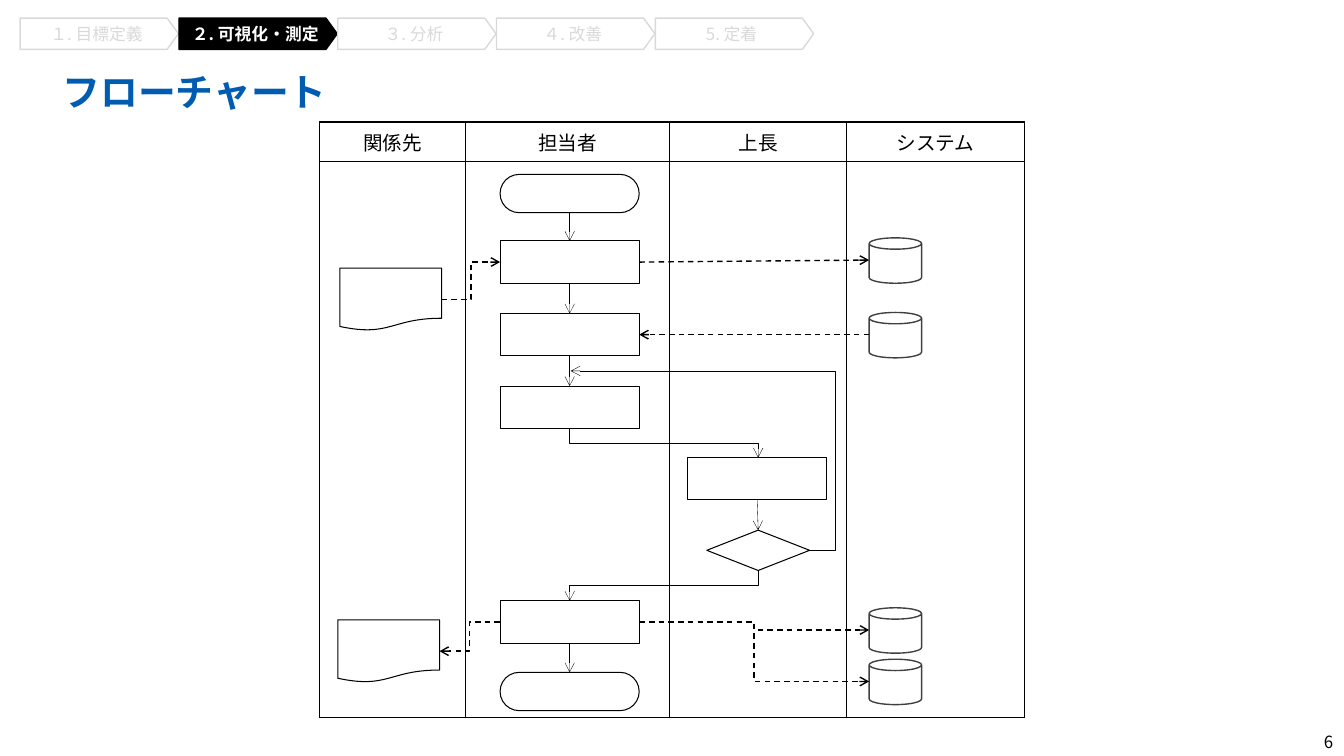
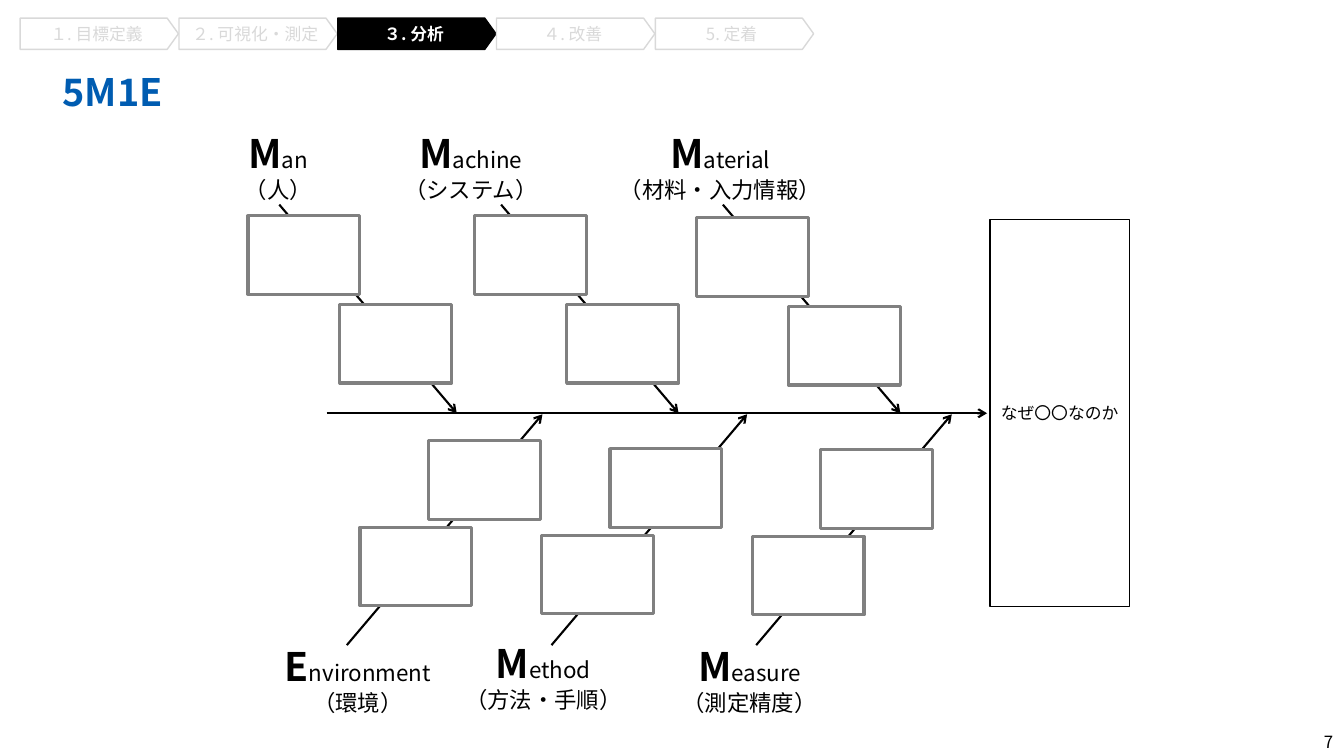
import pptx
import pptx.dml.color
import pptx.enum.dml
import pptx.enum.shapes
import pptx.enum.text
import pptx.oxml
import pptx.oxml.ns
import pptx.util
from dataclasses import dataclass

Inches = pptx.util.Inches
Preset = pptx.enum.shapes.MSO_SHAPE
Connector = pptx.enum.shapes.MSO_CONNECTOR
Align = pptx.enum.text.PP_ALIGN
MIDDLE = pptx.enum.text.MSO_ANCHOR.MIDDLE
qn = pptx.oxml.ns.qn


@dataclass(frozen=True)
class Theme:
    font: str = "Noto Sans CJK JP"
    ink: str = "000000"
    paper: str = "FFFFFF"
    title: str = "005CB1"
    muted: str = "D9D9D9"
    storage: str = "404040"
    cause: str = "808080"
    title_size: float = 27
    initial_size: float = 28
    label_size: float = 16
    header_size: float = 14
    small_size: float = 12
    hairline: float = 0.25
    thin: float = 0.75
    normal: float = 1
    bone: float = 1.5
    thick: float = 2.25


theme = Theme()
NO_MARGINS = dict.fromkeys(
    ("margin_left", "margin_top", "margin_right", "margin_bottom"), 0)


def dress(part, paragraphs=(), fill=None, line=None, width=theme.normal,
          align=Align.CENTER, spacing=None, **frame_format):
    """Format a shape, text box or table cell; a run is (text, size, colour, bold)."""
    is_cell = not hasattr(part, "shape_type")
    if fill:
        part.fill.solid()
        part.fill.fore_color.rgb = pptx.dml.color.RGBColor.from_string(fill)
    if not is_cell:
        part.shadow.inherit = False
        if line:
            part.line.color.rgb = pptx.dml.color.RGBColor.from_string(line)
            part.line.width = pptx.util.Pt(width)
        else:
            part.line.fill.background()
    holder = part if is_cell else part.text_frame
    for name, value in {"vertical_anchor": MIDDLE, "word_wrap": True, **frame_format}.items():
        if not (is_cell and name == "word_wrap"):
            setattr(holder, name, value)
    frame = part.text_frame
    for index, runs in enumerate(paragraphs):
        paragraph = frame.add_paragraph() if index else frame.paragraphs[0]
        paragraph.alignment = align
        if spacing:
            paragraph.line_spacing = spacing
        for text, size, color, bold in runs:
            run = paragraph.add_run()
            run.text = text
            font_format = {"name": theme.font, "size": pptx.util.Pt(size), "bold": bold}
            for name, value in font_format.items():
                setattr(run.font, name, value)
            run.font.color.rgb = pptx.dml.color.RGBColor.from_string(color)
            east_asian = pptx.oxml.parse_xml(
                f'<a:ea {pptx.oxml.ns.nsdecls("a")} typeface="{theme.font}"/>')
            run.font._element.find(qn("a:latin")).addnext(east_asian)


def connect(slide, start, end, width, route="straight", dashed=False, bend=None):
    """Draw an arrow; route is straight, across (level first) or down (upright first)."""
    (x1, y1), (x2, y2) = start, end
    quarter = 0
    if route == "down":
        # The box is stored unturned, then rotated a quarter about its centre.
        quarter = 1 if x2 < x1 else -1
        cx, cy = (x1 + x2) / 2, (y1 + y2) / 2
        dx, dy = quarter * (y2 - y1) / 2, quarter * (x1 - x2) / 2
        x1, y1, x2, y2 = cx - dx, cy - dy, cx + dx, cy + dy
    kind = Connector.STRAIGHT if route == "straight" else Connector.ELBOW
    arrow = slide.shapes.add_connector(kind, *map(Inches, (x1, y1, x2, y2)))
    arrow.line.color.rgb = pptx.dml.color.RGBColor.from_string(theme.ink)
    arrow.line.width = pptx.util.Pt(width)
    if dashed:
        arrow.line.dash_style = pptx.enum.dml.MSO_LINE.DASH
    properties = arrow._element.spPr
    if quarter:
        properties.find(qn("a:xfrm")).set("rot", str(quarter * 90 * 60000 % 21600000))
    if bend is not None:
        guides = properties.find(qn("a:prstGeom")).find(qn("a:avLst"))
        guide = guides.makeelement(qn("a:gd"), {"name": "adj1", "fmla": f"val {bend}"})
        guides.append(guide)
    outline = properties.find(qn("a:ln"))
    outline.append(outline.makeelement(qn("a:tailEnd"), {"type": "arrow"}))
    properties.append(properties.makeelement(qn("a:effectLst"), {}))
    return arrow


deck = pptx.Presentation()
deck.slide_width, deck.slide_height = Inches(13.33), Inches(7.5)

# Shared frame: progress steps, title and page number
steps = ["１. 目標定義", "２. 可視化・測定", "３. 分析", "４. 改善", "5. 定着"]
step_pitch = Inches(6.3) / 4
slides = []
for page, title, current in [(6, "フローチャート", 1), (7, "5M1E", 2)]:
    slide = deck.slides.add_slide(deck.slide_layouts[6])
    slides.append(slide)
    for index, step in enumerate(steps):
        active = index == current
        chevron = slide.shapes.add_shape(
            Preset.PENTAGON, int(Inches(0.2) + index * step_pitch), Inches(0.18),
            Inches(1.57), Inches(0.31))
        chevron.adjustments[0] = 0.36
        color = theme.paper if active else theme.muted
        dress(chevron, [[(step, theme.small_size, color, active)]],
              fill=theme.ink if active else theme.paper,
              line=theme.ink if active else theme.muted, word_wrap=False)
    heading = slide.shapes.add_textbox(*map(Inches, (0.62, 0.59, 10.47, 0.51)))
    dress(heading, [[(title, theme.title_size, theme.title, True)]], align=Align.LEFT,
          spacing=1.2, **{**NO_MARGINS, "vertical_anchor": pptx.enum.text.MSO_ANCHOR.TOP})
    page_number = slide.shapes.add_textbox(*map(Inches, (12.88, 7.26, 0.44, 0.2)))
    dress(page_number, [[(str(page), theme.small_size, theme.ink, False)]],
          align=Align.RIGHT, margin_top=0, margin_bottom=0)
flowchart, fishbone = slides

# Flowchart: swimlanes
lanes = [("関係先", 1.45), ("担当者", 2.02), ("上長", 1.76), ("システム", 1.76)]
lane_table = flowchart.shapes.add_table(
    2, len(lanes), *map(Inches, (3.17, 1.21, 6.99, 5.91))).table
lane_table.first_row = lane_table.horz_banding = False
for row, height in zip(lane_table.rows, (0.39, 5.52)):
    row.height = Inches(height)
for column, (lane, lane_width) in enumerate(lanes):
    lane_table.columns[column].width = Inches(lane_width)
    for row, text in enumerate((lane, "")):
        cell = lane_table.cell(row, column)
        borders = cell._tc.get_or_add_tcPr()
        for side in ("lnL", "lnR", "lnT", "lnB"):
            borders.append(pptx.oxml.parse_xml(
                f'<a:{side} {pptx.oxml.ns.nsdecls("a")} w="{pptx.util.Pt(theme.normal)}">'
                f'<a:solidFill><a:srgbClr val="{theme.ink}"/></a:solidFill></a:{side}>'))
        runs = [[(text, theme.header_size, theme.ink, False)]] if text else []
        dress(cell, runs, fill=theme.paper, **NO_MARGINS)

# Flowchart: nodes
node_kinds = {
    "terminal": (Preset.ROUNDED_RECTANGLE, 1.38, 0.38, theme.ink, theme.thin),
    "process": (Preset.RECTANGLE, 1.38, 0.42, theme.ink, theme.thin),
    "document": (Preset.FLOWCHART_DOCUMENT, 1.01, 0.62, theme.ink, theme.thin),
    "decision": (Preset.FLOWCHART_DECISION, 1.02, 0.4, theme.ink, theme.thin),
    "storage": (Preset.CAN, 0.52, 0.45, theme.storage, theme.normal),
}
staff_left, system_left = 4.96, 8.62
node_places = {
    "start": ("terminal", staff_left, 1.73),
    "receive": ("process", staff_left, 2.39),
    "check": ("process", staff_left, 3.11),
    "prepare": ("process", staff_left, 3.83),
    "review": ("process", 6.82, 4.54),
    "approve": ("decision", 7.01, 5.26),
    "finish": ("process", staff_left, 5.96),
    "end": ("terminal", staff_left, 6.67),
    "request": ("document", 3.37, 2.66),
    "reply": ("document", 3.35, 6.15),
    "intake store": ("storage", system_left, 2.36),
    "lookup store": ("storage", system_left, 3.1),
    "result store": ("storage", system_left, 6.03),
    "archive store": ("storage", system_left, 6.54),
}
nodes = {}
for node, (kind, left, top) in node_places.items():
    preset, width, height, color, weight = node_kinds[kind]
    nodes[node] = flowchart.shapes.add_shape(
        preset, *map(Inches, (left, top, width, height)))
    if kind == "terminal":
        nodes[node].adjustments[0] = 0.5
    dress(nodes[node], fill=theme.paper, line=color, width=weight)

# Flowchart: arrows
bottom_site, top_site = 2, 0
for source, target in [("start", "receive"), ("receive", "check"), ("check", "prepare"),
                       ("review", "approve"), ("finish", "end")]:
    arrow = connect(flowchart, (0, 0), (0, 0), theme.hairline)
    arrow.begin_connect(nodes[source], bottom_site)
    arrow.end_connect(nodes[target], top_site)

staff_x, boss_x = 5.65, 7.52
connect(flowchart, (staff_x, 4.25), (boss_x, 4.54), theme.hairline, "down")
connect(flowchart, (boss_x, 5.66), (staff_x, 5.96), theme.hairline, "down")
connect(flowchart, (8.03, 5.46), (5.66, 3.68), theme.hairline, "across", bend=-10600)
staff_right = 6.34
for start, end, route in [
    ((4.38, 2.97), (staff_left, 2.6), "across"),
    ((staff_left, 6.17), (4.36, 6.46), "across"),
    ((staff_right, 2.6), (system_left, 2.58), "straight"),
    ((system_left, 3.32), (staff_right, 3.32), "straight"),
    ((staff_right, 6.17), (system_left, 6.25), "across"),
    ((staff_right, 6.17), (system_left, 6.76), "across"),
]:
    connect(flowchart, start, end, theme.normal, route, dashed=True)

# Fishbone: spine and effect
connect(fishbone, (3.24, 4.1), (9.79, 4.1), theme.bone)
effect = fishbone.shapes.add_shape(
    Preset.RECTANGLE, *map(Inches, (9.82, 2.18, 1.38, 3.84)))
dress(effect, [[("なぜ〇〇なのか", theme.small_size, theme.ink, False)]],
      fill=theme.paper, line=theme.ink)

# Fishbone: each side has its bone geometry, the offset of the inner cause,
# and its categories as (name, translation, label box, outer cause corner)
upper = [
    ("Man", "（人）", (2.24, 1.34, 1.04, 0.61), (2.46, 2.14)),
    ("Machine", "（システム）", (3.83, 1.34, 1.68, 0.61), (4.71, 2.14)),
    ("Material", "（材料・入力情報）", (6.07, 1.34, 2.15, 0.61), (6.91, 2.16)),
]
lower = [
    ("Environment", "（環境）", (2.63, 6.43, 1.84, 0.61), (3.57, 5.23)),
    ("Method", "（方法・手順）", (4.36, 6.43, 2.06, 0.56), (5.37, 5.31)),
    ("Measure", "（測定精度）", (6.32, 6.43, 2.23, 0.61), (7.46, 5.32)),
]
for categories, first_x, pitch, run_x, outer_y, inner_y, (shift_x, shift_y) in [
    (upper, 2.77, 2.2, 1.76, 2.03, 4.1, (0.91, 0.88)),
    (lower, 3.44, 2.03, 1.94, 6.4, 4.11, (0.68, -0.86)),
]:
    for index, (name, translation, label_box, (left, top)) in enumerate(categories):
        bone_x = first_x + index * pitch
        connect(fishbone, (bone_x, outer_y), (bone_x + run_x, inner_y), theme.bone)
        label = fishbone.shapes.add_shape(Preset.RECTANGLE, *map(Inches, label_box))
        dress(label, [[(name[0], theme.initial_size, theme.ink, True),
                       (name[1:], theme.label_size, theme.ink, False)],
                      [(translation, theme.label_size, theme.ink, False)]],
              fill=theme.paper, word_wrap=name != "Material")
        for corner in [(left, top), (left + shift_x, top + shift_y)]:
            cause = fishbone.shapes.add_shape(
                Preset.RECTANGLE, *map(Inches, (*corner, 1.11, 0.78)))
            dress(cause, fill=theme.paper, line=theme.cause, width=theme.thick)

deck.save("out.pptx")
